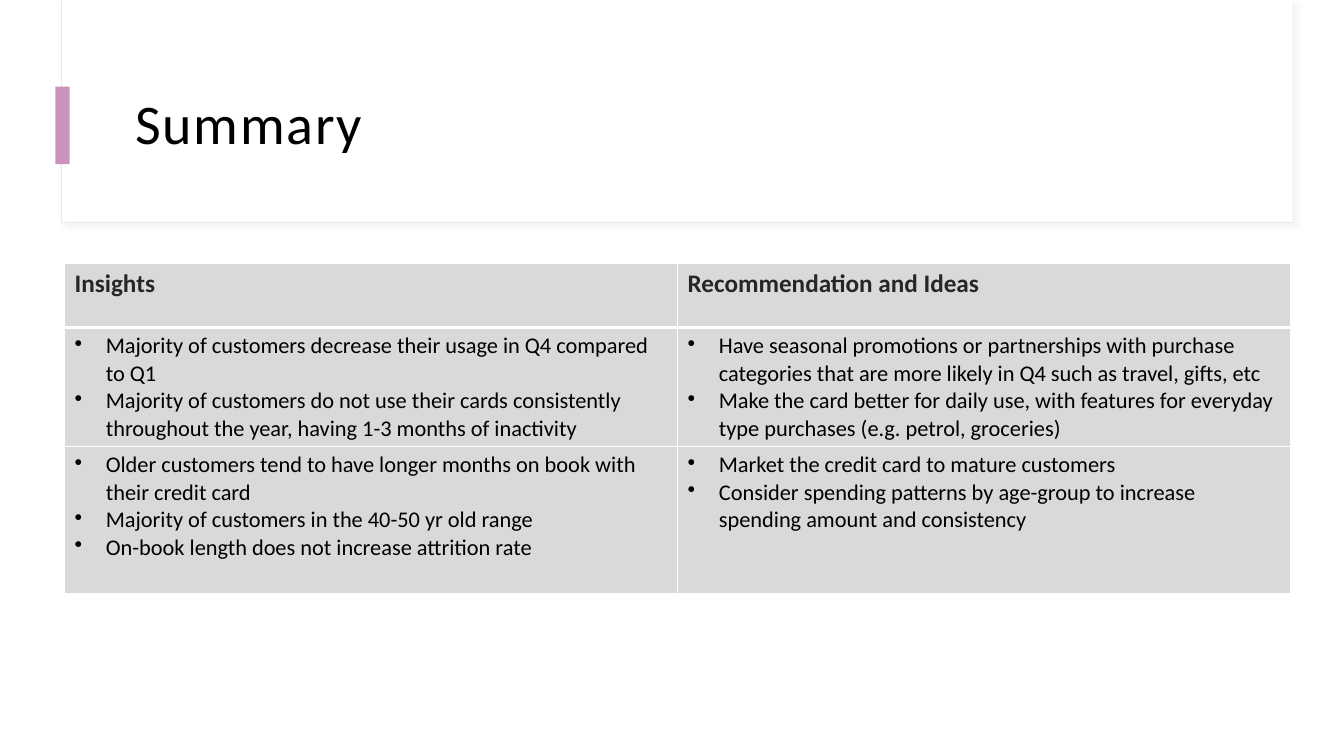
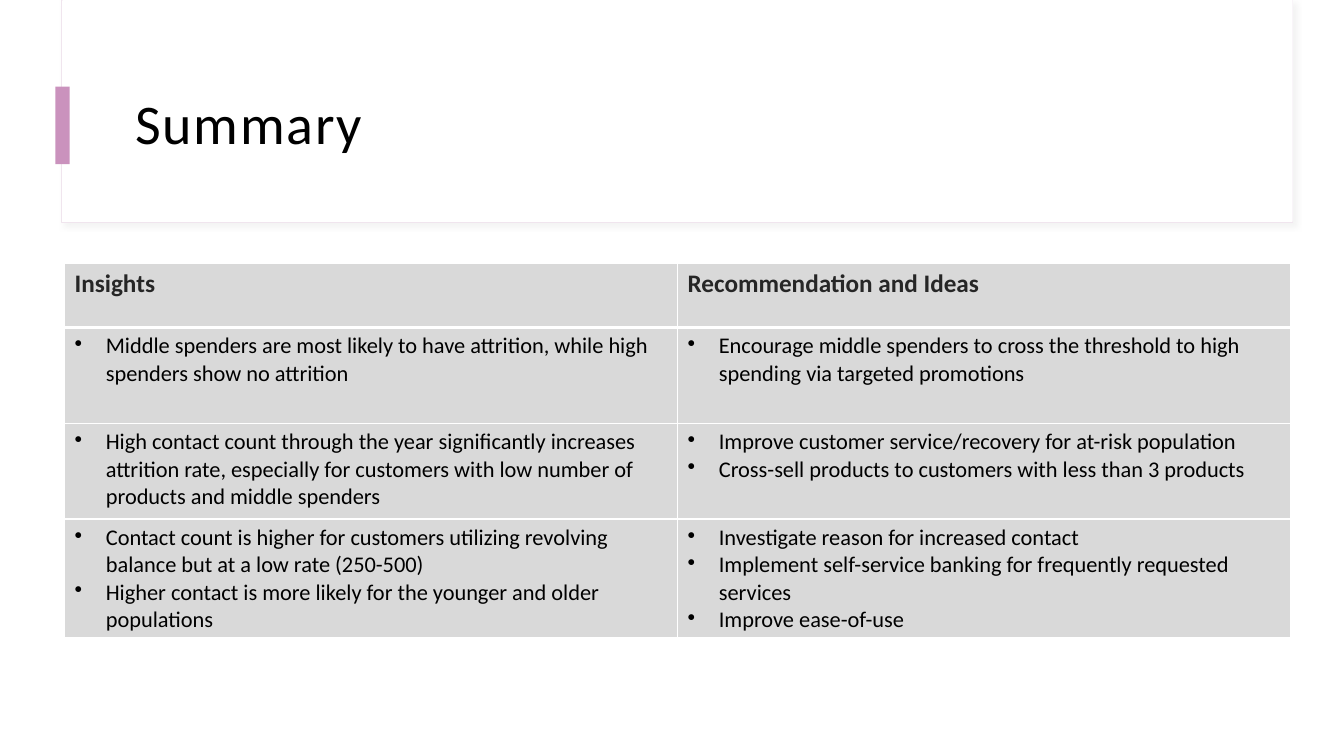
from lxml.etree import SubElement as Sub
from pptx import Presentation
from pptx.dml.color import RGBColor as Rgb
from pptx.enum.shapes import MSO_SHAPE as Shape
from pptx.enum.text import MSO_ANCHOR as Anchor
from pptx.oxml import parse_xml as xml
from pptx.oxml.ns import nsdecls, qn
from pptx.util import Inches, Pt

HUES = {
    "white": "FFFFFF",
    "edge": "F0E5EE",
    "shade": "D9D9D9",
    "accent": "CA92BD",
    "head": "262626",
    "ink": "000000",
}
FACE = "Calibri"
HEADS = ("Insights", "Recommendation and Ideas")
HEAD_H = 0.64
SLIDES = [
    [
        (1.18,
         ["Majority of customers decrease their usage in Q4 compared to Q1",
          "Majority of customers do not use their cards consistently throughout the year, "
          "having 1-3 months of inactivity"],
         ["Have seasonal promotions or partnerships with purchase categories that are "
          "more likely in Q4 such as travel, gifts, etc",
          "Make the card better for daily use, with features for everyday type purchases "
          "(e.g. petrol, groceries)"]),
        (1.46,
         ["Older customers tend to have longer months on book with their credit card",
          "Majority of customers in the 40-50 yr old range",
          "On-book length does not increase attrition rate"],
         ["Market the credit card to mature customers",
          "Consider spending patterns by age-group to increase spending amount and "
          "consistency"]),
    ],
    [
        (0.95,
         ["Middle spenders are most likely to have attrition, while high spenders show "
          "no attrition"],
         ["Encourage middle spenders to cross the threshold to high spending via "
          "targeted promotions"]),
        (0.95,
         ["High contact count through the year significantly increases attrition rate, "
          "especially for customers with low number of products and middle spenders"],
         ["Improve customer service/recovery for at-risk population",
          "Cross-sell products to customers with less than 3 products"]),
        (1.18,
         ["Contact count is higher for customers utilizing revolving balance but at a "
          "low rate (250-500)",
          "Higher contact is more likely for the younger and older populations"],
         ["Investigate reason for increased contact",
          "Implement self-service banking for frequently requested services",
          "Improve ease-of-use"]),
    ],
]


def hue(name):
    """Return a colour of the palette."""
    return Rgb.from_string(HUES[name])


def style(para, size, tint, bold=False):
    """Set the font of a paragraph."""
    font = para.font
    font.name, font.size, font.bold = FACE, Pt(size), bold
    font.color.rgb = hue(tint)


def block(slide, box, fill, line=None):
    """Draw a plain rectangle."""
    rect = slide.shapes.add_shape(Shape.RECTANGLE, *map(Inches, box))
    rect.shadow.inherit = False
    rect.fill.solid()
    rect.fill.fore_color.rgb = hue(fill)
    if line:
        rect.line.color.rgb = hue(line)
        rect.line.width = Pt(0.75)
    else:
        rect.line.fill.background()
    return rect


def shade(rect):
    """Give a shape a soft shadow to the lower right."""
    glow = xml(
        f'<a:outerShdw {nsdecls("a")} blurRad="{Pt(4)}" dist="{Pt(3)}" dir="2700000" '
        f'algn="tl" rotWithShape="0"><a:srgbClr val="{HUES["shade"]}">'
        '<a:alpha val="30000"/></a:srgbClr></a:outerShdw>')
    rect.element.spPr.find(qn("a:effectLst")).append(glow)


def banner(slide, text, box):
    """Draw the title panel with its accent bar and title."""
    left, top, wide, high = box
    shade(block(slide, (left, top, wide, high), "white", "edge"))
    block(slide, (left + 0.01, top, wide - 0.01, high - 0.01), "white")
    block(slide, (left - 0.06, top + 0.86, 0.14, 0.77), "accent")
    area = (left + 0.61, top + 0.6, wide - 1.09, 1.29)
    frame = slide.shapes.add_textbox(*map(Inches, area)).text_frame
    frame.word_wrap = True
    frame.vertical_anchor = Anchor.MIDDLE
    frame.margin_left = frame.margin_right = frame.margin_top = Inches(0.12)
    frame.margin_bottom = Inches(0.1)
    para = frame.paragraphs[0]
    para.text = text
    para.line_spacing = 0.9
    style(para, 40, "ink")
    para.runs[0].font._element.set("spc", "130")


def border(cell, top, bottom):
    """Draw white cell borders ahead of the fill."""
    sides = {"lnL": 1, "lnR": 1, "lnT": top, "lnB": bottom}
    props = cell._tc.get_or_add_tcPr()
    for spot, (tag, width) in enumerate(sides.items()):
        props.insert(spot, xml(
            f'<a:{tag} {nsdecls("a")} w="{Pt(width)}"><a:solidFill>'
            f'<a:srgbClr val="{HUES["white"]}"/></a:solidFill></a:{tag}>'))


def bullet(para):
    """Give a paragraph a bullet with a hanging indent."""
    props = para._p.get_or_add_pPr()
    props.set("marL", str(Inches(0.31)))
    props.set("indent", str(-Inches(0.31)))
    mark = Sub(props, qn("a:buChar"))
    mark.set("char", "•")
    props.insert(0, mark)


def fill(cell, lines, row):
    """Fill a table cell with a heading or a bullet list."""
    cell.fill.solid()
    cell.fill.fore_color.rgb = hue("shade")
    border(cell, 3 if row == 1 else 1, 3 if row == 0 else 1)
    frame = cell.text_frame
    frame.text = "\n".join(lines)
    for para in frame.paragraphs:
        if row:
            style(para, 16, "ink")
            bullet(para)
        else:
            style(para, 18, "head", True)


def grid(slide, rows, left, top, wide):
    """Build the table of insights and ideas."""
    rows = [(HEAD_H, *([head] for head in HEADS)), *rows]
    high = sum(row[0] for row in rows)
    box = map(Inches, (left, top, wide, high))
    table = slide.shapes.add_table(len(rows), len(HEADS), *box).table
    table.horz_banding = False
    for row, (tall, *cells) in enumerate(rows):
        table.rows[row].height = Inches(tall)
        for col, lines in enumerate(cells):
            fill(table.cell(row, col), lines, row)


def main():
    """Build and save the deck."""
    deck = Presentation()
    deck.slide_width, deck.slide_height = Inches(13.33), Inches(7.5)
    for rows in SLIDES:
        slide = deck.slides.add_slide(deck.slide_layouts[6])
        banner(slide, "Summary", (0.61, 0, 12.21, 2.21))
        grid(slide, rows, 0.64, 2.61, 12.16)
    deck.save("out.pptx")


if __name__ == "__main__":
    main()
